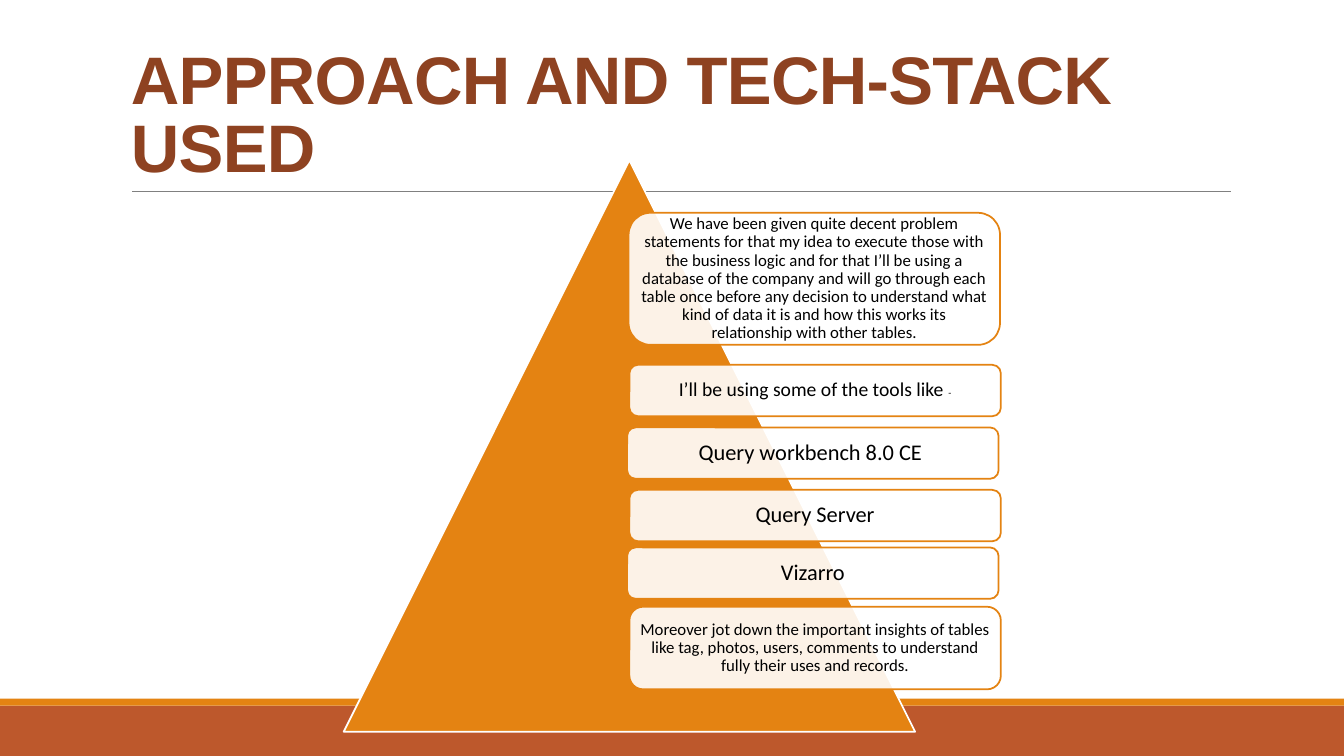
from dataclasses import dataclass

from lxml.etree import SubElement
from pptx import Presentation
from pptx.dml.color import RGBColor
from pptx.enum.shapes import MSO_CONNECTOR, MSO_SHAPE
from pptx.enum.text import MSO_ANCHOR, PP_ALIGN
from pptx.oxml.ns import qn
from pptx.util import Pt


@dataclass(frozen=True)
class Theme:
    orange: RGBColor = RGBColor(0xE4, 0x83, 0x12)
    rust: RGBColor = RGBColor(0xBD, 0x58, 0x2C)
    brown: RGBColor = RGBColor(0x8E, 0x42, 0x21)
    gray: RGBColor = RGBColor(0x80, 0x80, 0x80)
    white: RGBColor = RGBColor(0xFF, 0xFF, 0xFF)
    black: RGBColor = RGBColor(0, 0, 0)
    title_size: int = 48
    item_size: int = 16
    lead_size: int = 14
    note_size: int = 12
    dash_size: int = 7
    title_font: str = "Arial"
    body_font: str = "Calibri"


THEME = Theme()
STEPS = [
    (449, 152, 94.3, [("We have been given quite decent problem statements for that my idea to "
                       "execute those with the business logic and for that I’ll be using a "
                       "database of the company and will go through each table once before any "
                       "decision to understand what kind of data it is and how this works its "
                       "relationship with other tables.", THEME.note_size)]),
    (449.6, 260.6, 36.7, [("I’ll be using some of the tools like ", THEME.lead_size),
                          ("-", THEME.dash_size)]),
    (448, 305.3, 36.7, [("Query workbench 8.0 CE ", THEME.item_size)]),
    (449.6, 349.9, 36.7, [("Query Server", THEME.item_size)]),
    (448, 391, 36.7, [("Vizarro", THEME.item_size)]),
    (449.6, 433.4, 59, [("Moreover jot down the important insights of tables like tag, photos, "
                         "users, comments to understand fully their uses and records.",
                         THEME.note_size)]),
]


def apply(target, values):
    for name, value in values.items():
        setattr(target, name, value)


def add_block(page, kind, box, fill, outline=None):
    shape = page.shapes.add_shape(kind, *map(Pt, box))
    shape.shadow.inherit = False
    shape.fill.solid()
    shape.fill.fore_color.rgb = fill
    if outline is None:
        shape.line.fill.background()
    else:
        shape.line.color.rgb = outline
        shape.line.width = Pt(1.25)
    return shape


def write(shape, spans, frame_format, para_format, font_format, color):
    apply(shape.text_frame, {"word_wrap": True, **frame_format})
    para = shape.text_frame.paragraphs[0]
    apply(para, para_format)
    for text, size in spans:
        span = para.add_run()
        span.text = text
        apply(span.font, {"size": Pt(size), **font_format})
        span.font.color.rgb = color


def add_footer(page, box):
    left, top, width, height = box
    stripe = 5
    add_block(page, MSO_SHAPE.RECTANGLE, (left, top + stripe, width, height - stripe), THEME.rust)
    add_block(page, MSO_SHAPE.RECTANGLE, (left, top, width, stripe), THEME.orange)


def add_title(page, box):
    left, top, width, height = box
    bottom = top + height
    rule = page.shapes.add_connector(
        MSO_CONNECTOR.STRAIGHT, Pt(left + 8), Pt(bottom), Pt(left + width + 1), Pt(bottom))
    rule.line.color.rgb = THEME.gray
    rule.line.width = Pt(0.5)
    SubElement(rule.element.spPr, qn("a:effectLst"))
    title = page.shapes.add_textbox(*map(Pt, box))
    write(title, [("APPROACH AND TECH-STACK USED", THEME.title_size)],
          {"vertical_anchor": MSO_ANCHOR.BOTTOM}, {"line_spacing": 0.85},
          {"name": THEME.title_font, "bold": True}, THEME.brown)
    for properties in title.element.iter(qn("a:rPr")):
        properties.set("spc", "-50")


def add_step(page, box, spans):
    step = add_block(page, MSO_SHAPE.ROUNDED_RECTANGLE, box, THEME.white, THEME.orange)
    color = step.element.spPr.find(qn("a:solidFill"))[0]
    SubElement(color, qn("a:alpha"), val="90000")
    margin = Pt(0.3 * spans[0][1])
    sides = ("left", "right", "top", "bottom")
    write(step, spans,
          {"vertical_anchor": MSO_ANCHOR.MIDDLE, **{f"margin_{side}": margin for side in sides}},
          {"alignment": PP_ALIGN.CENTER, "line_spacing": 0.9},
          {"name": THEME.body_font}, THEME.black)


def add_pyramid(page, box):
    left, top, width, height = box
    add_block(page, MSO_SHAPE.ISOSCELES_TRIANGLE, box, THEME.orange, THEME.white)
    for step_left, step_top, step_height, spans in STEPS:
        offset_left, offset_top = step_left - 245.5, step_top - 114.5
        add_step(page, (left + offset_left, top + offset_top, 0.65 * width, step_height), spans)


def main():
    deck = Presentation()
    apply(deck, {"slide_width": Pt(960), "slide_height": Pt(540)})
    page = deck.slides.add_slide(deck.slide_layouts[6])
    add_footer(page, (0, 499, 960, 41))
    add_title(page, (86.4, 22.3, 792, 114.5))
    add_pyramid(page, (245.5, 114.5, 408.2, 408.2))
    deck.save("out.pptx")


if __name__ == "__main__":
    main()
